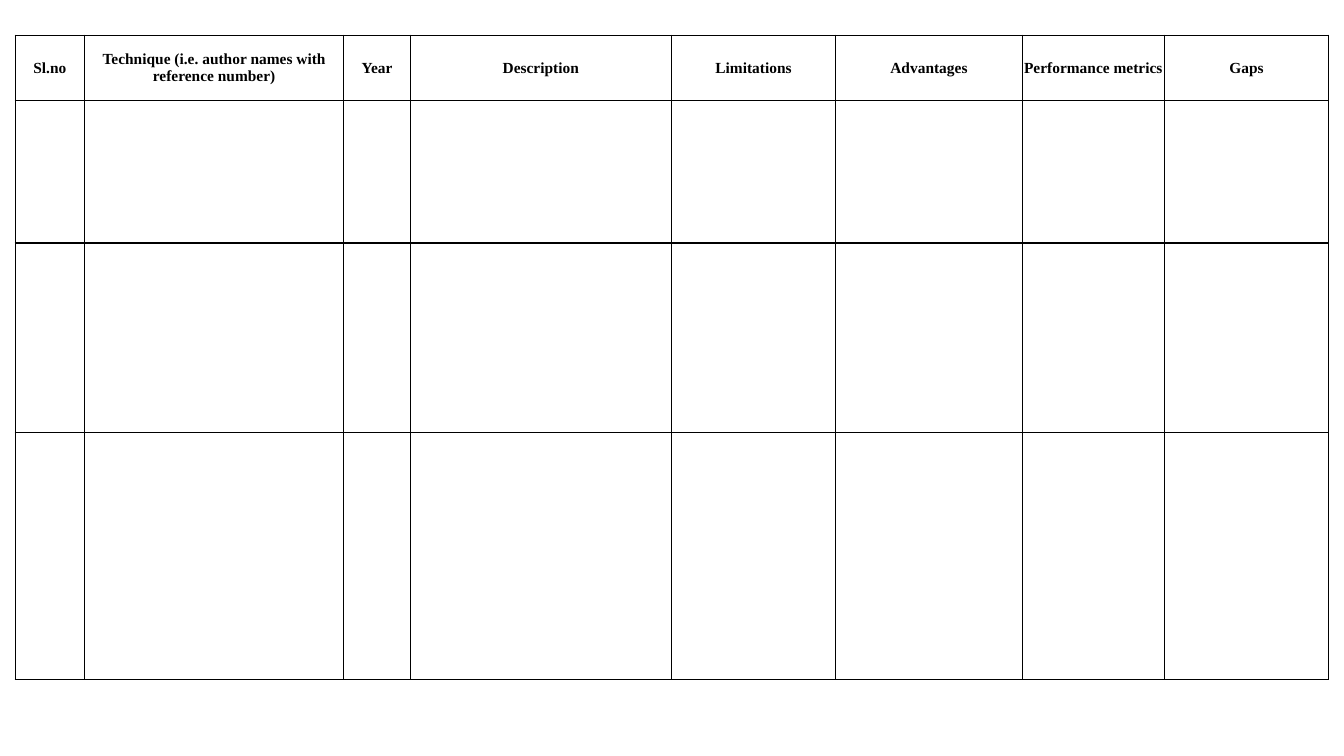
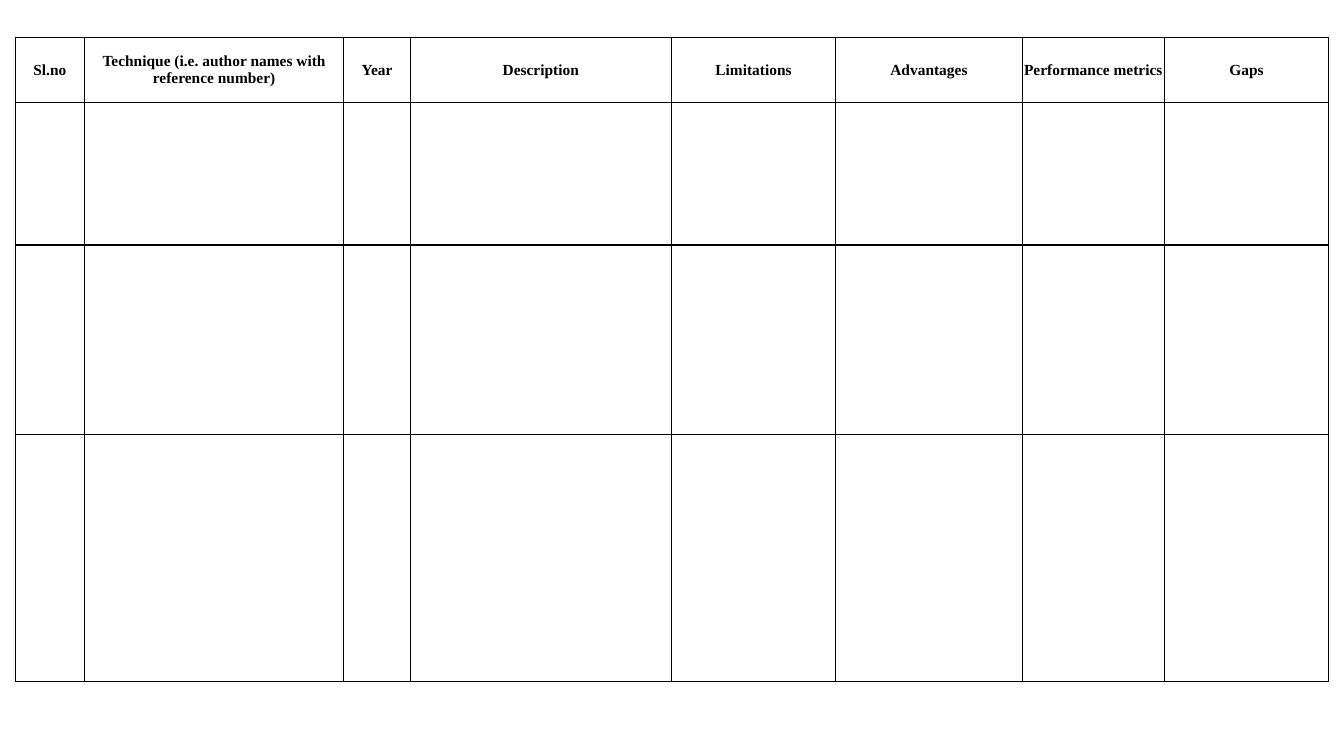
import pptx
import pptx.util
import pptx.dml.color
import pptx.enum.text
import pptx.oxml
import pptx.oxml.ns

Inches = pptx.util.Inches
BLACK = pptx.dml.color.RGBColor(0x00, 0x00, 0x00)
FONT = "Times New Roman"
BORDER_WIDTH = pptx.util.Pt(1)
MARGIN = Inches(0.01)

columns = [
    ("Sl.no", 0.69),
    ("Technique (i.e. author names with reference number)", 2.57),
    ("Year", 0.66),
    ("Description", 2.59),
    ("Limitations", 1.63),
    ("Advantages", 1.85),
    ("Performance metrics", 1.41),
    ("Gaps", 1.63),
]
row_heights = [0.65, 1.41, 1.88, 2.45]
survey_tops = [0.35, 0.37]


def add_borders(cell):
    properties = cell._tc.get_or_add_tcPr()
    for position, side in enumerate(("lnL", "lnR", "lnT", "lnB")):
        border = pptx.oxml.parse_xml(
            f'<a:{side} {pptx.oxml.ns.nsdecls("a")} w="{BORDER_WIDTH}">'
            f'<a:solidFill><a:srgbClr val="{BLACK}"/></a:solidFill></a:{side}>'
        )
        properties.insert(position, border)


presentation = pptx.Presentation()
presentation.slide_width = Inches(13.33)
presentation.slide_height = Inches(7.5)

for top in survey_tops:
    slide = presentation.slides.add_slide(presentation.slide_layouts[6])
    survey = slide.shapes.add_table(
        len(row_heights), len(columns),
        Inches(0.15), Inches(top),
        Inches(sum(width for _, width in columns)), Inches(sum(row_heights)),
    ).table
    survey.first_row = False
    survey.horz_banding = False

    for row, height in zip(survey.rows, row_heights):
        row.height = Inches(height)

    for cell in survey.iter_cells():
        cell.fill.background()
        cell.margin_left = cell.margin_right = MARGIN
        cell.margin_top = cell.margin_bottom = MARGIN
        cell.vertical_anchor = pptx.enum.text.MSO_ANCHOR.MIDDLE
        add_borders(cell)

    for index, (heading, width) in enumerate(columns):
        survey.columns[index].width = Inches(width)
        paragraph = survey.cell(0, index).text_frame.paragraphs[0]
        paragraph.text = heading
        paragraph.alignment = pptx.enum.text.PP_ALIGN.CENTER
        font = paragraph.runs[0].font
        font.name = FONT
        font.size = pptx.util.Pt(11)
        font.bold = True
        font.color.rgb = BLACK

presentation.save("out.pptx")
